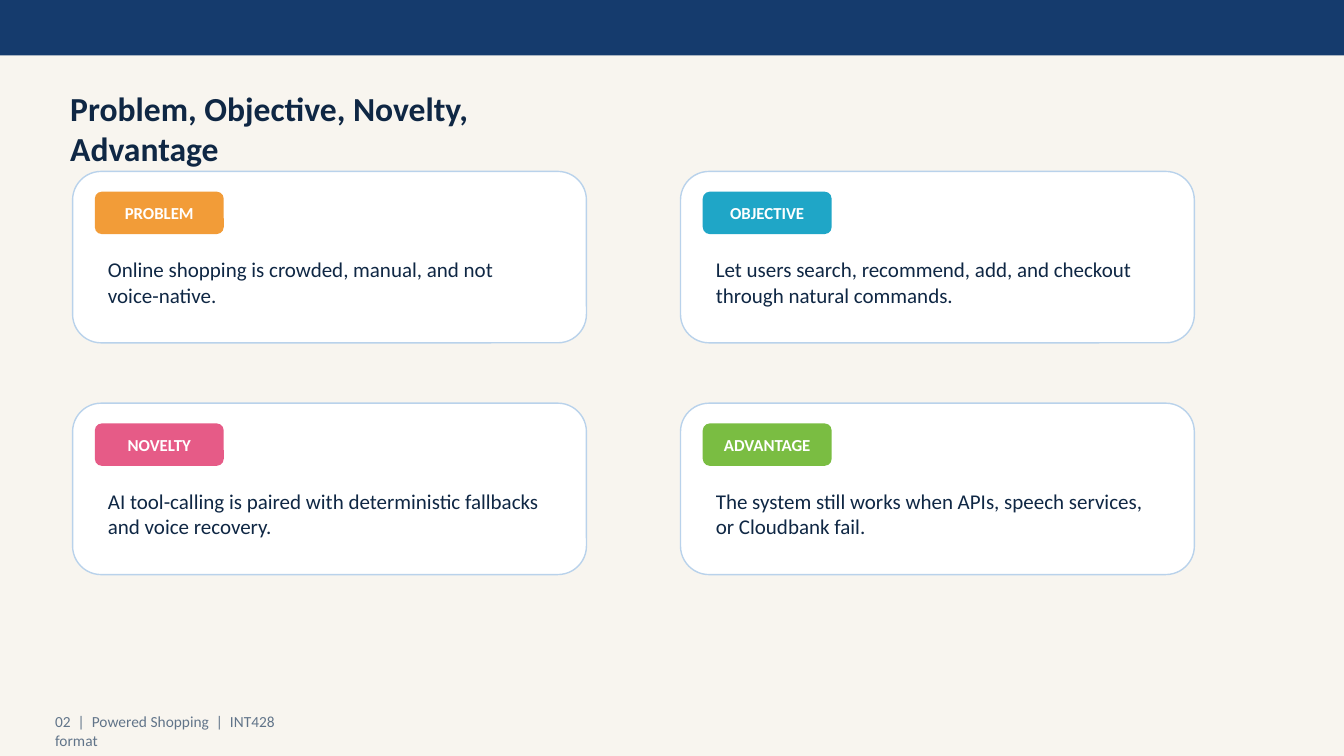
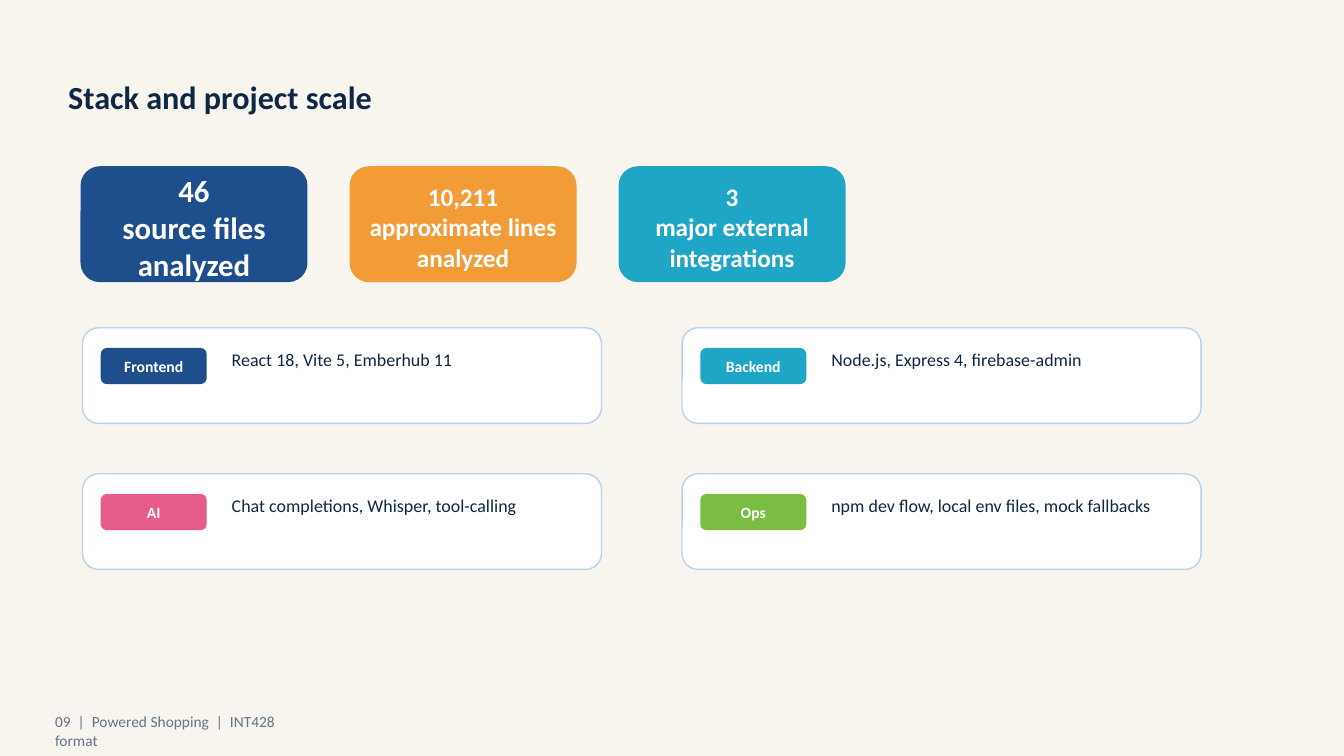
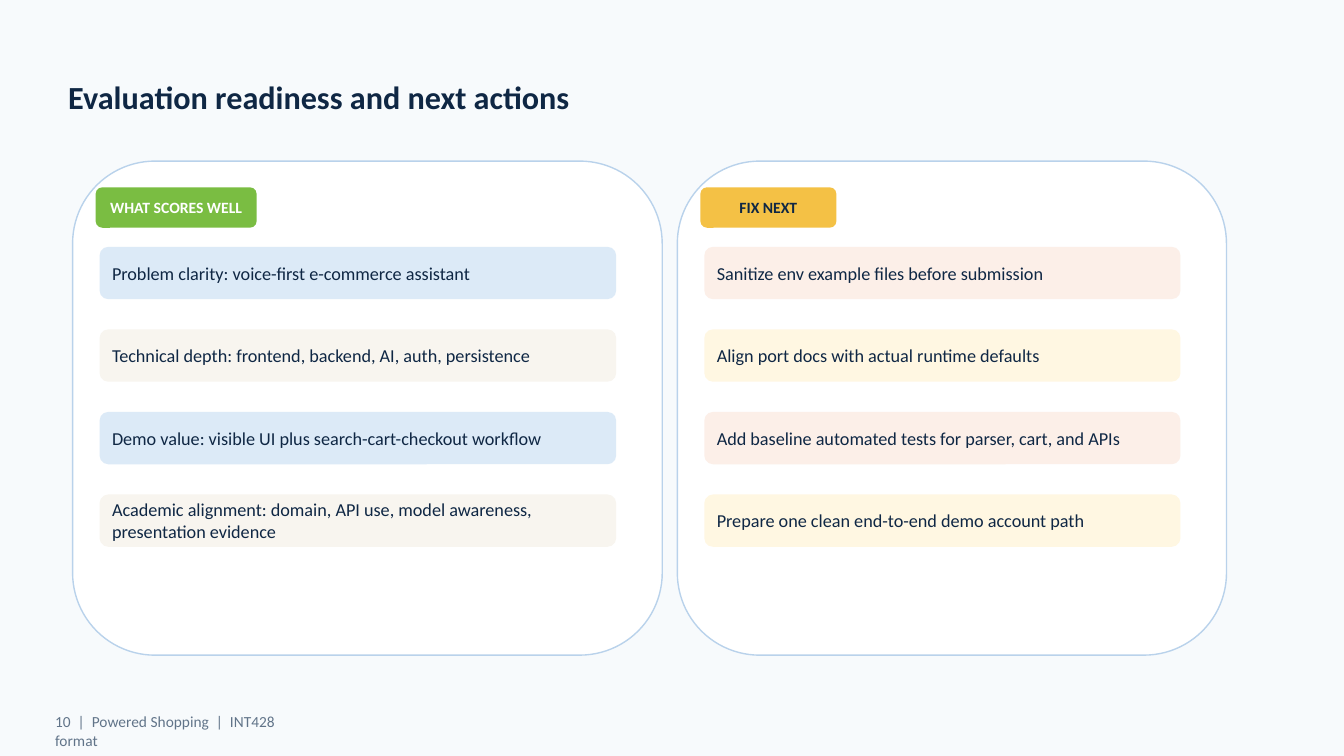
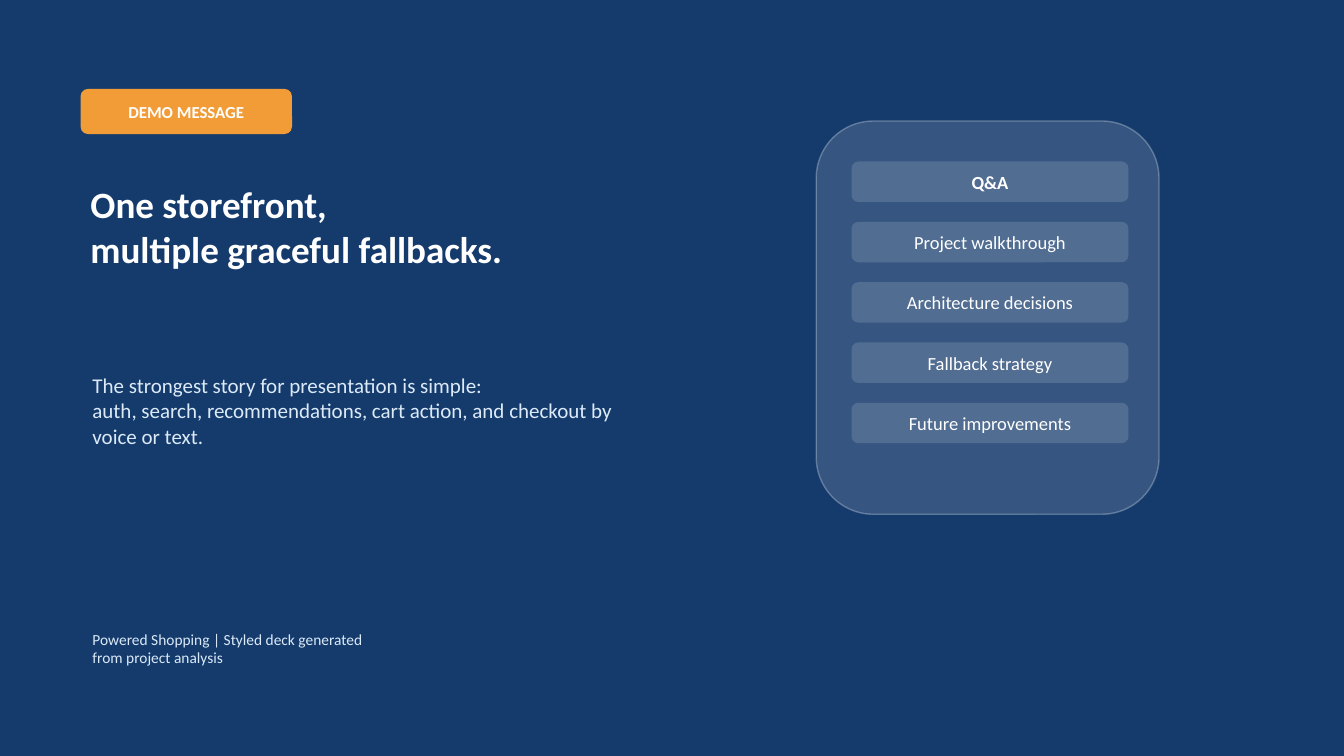
from collections import namedtuple

from lxml import etree
from pptx import Presentation
from pptx.dml.color import RGBColor
from pptx.enum.shapes import MSO_SHAPE
from pptx.enum.text import MSO_ANCHOR, PP_ALIGN
from pptx.oxml.ns import qn
from pptx.util import Cm, Pt

RECTANGLE = MSO_SHAPE.RECTANGLE
ROUNDED = MSO_SHAPE.ROUNDED_RECTANGLE
LEFT, CENTER = PP_ALIGN.LEFT, PP_ALIGN.CENTER
MIDDLE = MSO_ANCHOR.MIDDLE

FONT = "Calibri"
WHITE = RGBColor(0xFF, 0xFF, 0xFF)
CREAM = RGBColor(0xF8, 0xF5, 0xEF)
MIST = RGBColor(0xF7, 0xFA, 0xFC)
NAVY = RGBColor(0x15, 0x3B, 0x6D)
INK = RGBColor(0x0F, 0x27, 0x44)
BLUE = RGBColor(0x1E, 0x4E, 0x8C)
ORANGE = RGBColor(0xF2, 0x9C, 0x38)
TEAL = RGBColor(0x1F, 0xA6, 0xC7)
PINK = RGBColor(0xE6, 0x5B, 0x87)
GREEN = RGBColor(0x7A, 0xBD, 0x42)
YELLOW = RGBColor(0xF4, 0xC1, 0x45)
PALE_BLUE = RGBColor(0xDC, 0xEA, 0xF7)
PALE_ORANGE = RGBColor(0xFC, 0xEF, 0xE8)
PALE_YELLOW = RGBColor(0xFF, 0xF7, 0xE2)
BORDER = RGBColor(0xB9, 0xD2, 0xEB)
GREY = RGBColor(0x61, 0x74, 0x89)

SLIDE_WIDTH, SLIDE_HEIGHT = 33.87, 19.05
GLASS_FILL, GLASS_LINE = 14, 28  # percent opacity

Box = namedtuple("Box", "left top width height")  # centimetres


def inside(box, left, top, width, height):
    """Return a box placed relative to the corner of another."""
    return Box(box.left + left, box.top + top, width, height)


def grid(first, columns, step_x, step_y, count):
    """List boxes row by row, starting from the first one."""
    return [inside(first, index % columns * step_x, index // columns * step_y,
                   first.width, first.height) for index in range(count)]


def add_slide(presentation, color):
    slide = presentation.slides.add_slide(presentation.slide_layouts[6])
    slide.background.fill.solid()
    slide.background.fill.fore_color.rgb = color
    return slide


def write(text_frame, text, size, color, bold=False, align=LEFT):
    text_frame.word_wrap = True
    text_frame.text = text
    for paragraph in text_frame.paragraphs:
        paragraph.alignment = align
        for run in paragraph.runs:
            run.font.name = FONT
            run.font.size = Pt(size)
            run.font.bold = bold
            run.font.color.rgb = color


def add_text(slide, box, text, size, color=INK, bold=False):
    textbox = slide.shapes.add_textbox(*map(Cm, box))
    write(textbox.text_frame, text, size, color, bold)


def add_block(slide, box, fill, line=None, kind=ROUNDED):
    shape = slide.shapes.add_shape(kind, *map(Cm, box))
    shape.shadow.inherit = False
    shape.fill.solid()
    shape.fill.fore_color.rgb = fill
    if line is None:
        shape.line.fill.background()
    else:
        shape.line.color.rgb = line
        shape.line.width = Pt(1)
    return shape


def add_label(slide, box, fill, text, size, color=WHITE, bold=True,
              align=CENTER, insets=(0, 0, 0, 0)):
    """Add a filled block with text; insets are left, top, right, bottom."""
    shape = add_block(slide, box, fill)
    frame = shape.text_frame
    frame.margin_left, frame.margin_top, frame.margin_right, frame.margin_bottom = map(Cm, insets)
    frame.vertical_anchor = MIDDLE
    write(frame, text, size, color, bold, align)
    return shape


def set_opacity(shape, color_path, percent):
    for color in shape.element.spPr.findall("/".join(map(qn, color_path))):
        etree.SubElement(color, qn("a:alpha"), val=str(percent * 1000))


def make_glass(shape):
    set_opacity(shape, ("a:solidFill", "a:srgbClr"), GLASS_FILL)
    set_opacity(shape, ("a:ln", "a:solidFill", "a:srgbClr"), GLASS_LINE)


def add_title(slide, text, width):
    add_text(slide, Box(1.47, 1.83, width, 1.27), text, 23, bold=True)


def add_footer(slide, number):
    add_text(slide, Box(1.14, 17.83, 6.35, 0.66),
             f"{number:02}  |  Powered Shopping  |  INT428 format", 11, GREY)


def add_summary_card(slide, box, color, label, text):
    add_block(slide, box, WHITE, BORDER)
    add_label(slide, inside(box, 0.56, 0.51, 3.25, 1.07), color, label, 12)
    add_text(slide, inside(box, 0.64, 2.03, 11.56, 1.65), text, 15)


def add_stack_card(slide, box, color, label, text):
    add_block(slide, box, WHITE, BORDER)
    add_label(slide, inside(box, 0.46, 0.51, 2.67, 0.91), color, label, 11.2)
    add_text(slide, inside(box, 3.51, 0.41, 8.76, 1.14), text, 12.8)


def add_checklist(slide, box, heading, heading_width, heading_fill, heading_color,
                  row_fills, items):
    add_block(slide, box, WHITE, BORDER)
    add_label(slide, inside(box, 0.58, 0.66, heading_width, 1.02),
              heading_fill, heading, 11.2, heading_color)
    first = inside(box, 0.68, 2.16, box.width - 1.84, 1.32)
    for index, (row, item) in enumerate(zip(grid(first, 1, 0, 2.08, len(items)), items)):
        add_label(slide, row, row_fills[index % 2], item, 13, INK, False, LEFT,
                  (0.25, 0, 0.2, 0))


def add_agenda(slide, box, topics):
    """Add a translucent panel of topics, the first one in bold."""
    make_glass(add_block(slide, box, WHITE, WHITE))
    first = inside(box, 0.89, 1.02, 6.98, 1.02)
    for index, (row, topic) in enumerate(zip(grid(first, 1, 0, 1.52, len(topics)), topics)):
        make_glass(add_label(slide, row, WHITE, topic, 13.2, bold=index == 0))


def build_summary(presentation):
    slide = add_slide(presentation, CREAM)
    add_block(slide, Box(0, 0, SLIDE_WIDTH, 1.4), NAVY, kind=RECTANGLE)
    add_text(slide, Box(1.52, 2.08, 11.94, 1.4),
             "Problem, Objective, Novelty, Advantage", 24, bold=True)
    cards = (
        (ORANGE, "PROBLEM", "Online shopping is crowded, manual, and not voice-native."),
        (TEAL, "OBJECTIVE",
         "Let users search, recommend, add, and checkout through natural commands."),
        (PINK, "NOVELTY",
         "AI tool-calling is paired with deterministic fallbacks and voice recovery."),
        (GREEN, "ADVANTAGE",
         "The system still works when APIs, speech services, or Cloudbank fail."),
    )
    boxes = grid(Box(1.83, 4.32, 12.95, 4.32), 2, 15.32, 5.84, len(cards))
    for box, card in zip(boxes, cards):
        add_summary_card(slide, box, *card)
    add_footer(slide, 2)


def build_stack(presentation):
    slide = add_slide(presentation, CREAM)
    add_title(slide, "Stack and project scale", 10.92)
    metrics = (
        (BLUE, "46\nsource files analyzed", 22),
        (ORANGE, "10,211\napproximate lines analyzed", 18),
        (TEAL, "3\nmajor external integrations", 18),
    )
    boxes = grid(Box(2.03, 4.19, 5.72, 2.92), 3, 6.78, 0, len(metrics))
    for box, metric in zip(boxes, metrics):
        add_label(slide, box, *metric, insets=(0, 0.13, 0, 0))
    cards = (
        (BLUE, "Frontend", "React 18, Vite 5, Emberhub 11"),
        (TEAL, "Backend", "Node.js, Express 4, firebase-admin"),
        (PINK, "AI", "Chat completions, Whisper, tool-calling"),
        (GREEN, "Ops", "npm dev flow, local env files, mock fallbacks"),
    )
    boxes = grid(Box(2.08, 8.26, 13.08, 2.41), 2, 15.11, 3.68, len(cards))
    for box, card in zip(boxes, cards):
        add_stack_card(slide, box, *card)
    add_footer(slide, 9)


def build_evaluation(presentation):
    slide = add_slide(presentation, MIST)
    add_title(slide, "Evaluation readiness and next actions", 13.21)
    add_checklist(
        slide, Box(1.83, 4.06, 14.86, 12.45), "WHAT SCORES WELL", 4.06, GREEN, WHITE,
        (PALE_BLUE, CREAM),
        ("Problem clarity: voice-first e-commerce assistant",
         "Technical depth: frontend, backend, AI, auth, persistence",
         "Demo value: visible UI plus search-cart-checkout workflow",
         "Academic alignment: domain, API use, model awareness, presentation evidence"))
    add_checklist(
        slide, Box(17.07, 4.06, 13.84, 12.45), "FIX NEXT", 3.43, YELLOW, INK,
        (PALE_ORANGE, PALE_YELLOW),
        ("Sanitize env example files before submission",
         "Align port docs with actual runtime defaults",
         "Add baseline automated tests for parser, cart, and APIs",
         "Prepare one clean end-to-end demo account path"))
    add_footer(slide, 10)


def build_closing(presentation):
    slide = add_slide(presentation, NAVY)
    add_label(slide, Box(2.03, 2.24, 5.33, 1.14), ORANGE, "DEMO MESSAGE", 12)
    add_text(slide, Box(2.03, 4.45, 15.24, 4.32),
             "One storefront,\nmultiple graceful fallbacks.", 26.5, WHITE, True)
    add_text(slide, Box(2.08, 9.27, 14.73, 2.54),
             "The strongest story for presentation is simple:\n"
             "auth, search, recommendations, cart action, and checkout by voice or text.",
             15, PALE_BLUE)
    add_agenda(slide, Box(20.57, 3.05, 8.64, 9.91),
               ("Q&A", "Project walkthrough", "Architecture decisions",
                "Fallback strategy", "Future improvements"))
    add_text(slide, Box(2.08, 15.75, 7.62, 0.66),
             "Powered Shopping | Styled deck generated from project analysis", 11, PALE_BLUE)


def main():
    presentation = Presentation()
    presentation.slide_width = Cm(SLIDE_WIDTH)
    presentation.slide_height = Cm(SLIDE_HEIGHT)
    build_summary(presentation)
    build_stack(presentation)
    build_evaluation(presentation)
    build_closing(presentation)
    presentation.save("out.pptx")


if __name__ == "__main__":
    main()
